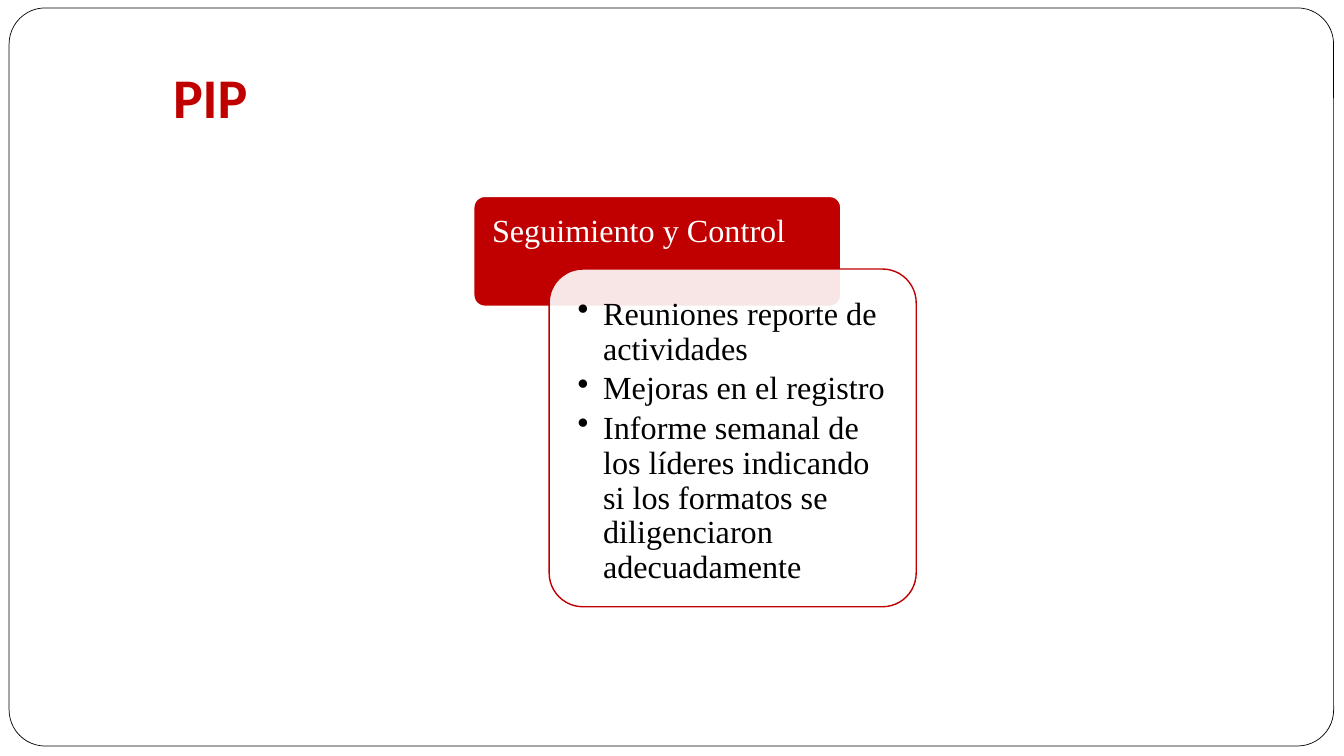
from dataclasses import dataclass

from lxml.etree import SubElement
from pptx import Presentation
from pptx.dml.color import RGBColor
from pptx.enum.shapes import MSO_SHAPE
from pptx.enum.text import MSO_ANCHOR, MSO_AUTO_SIZE, PP_ALIGN
from pptx.oxml.ns import qn
from pptx.shapes.autoshape import Shape
from pptx.slide import Slide
from pptx.text.text import TextFrame
from pptx.util import Cm, Pt

COLORS = {"red": "C00000", "white": "FFFFFF", "black": "000000"}
BODY_FONT = "Times New Roman"
TEXT_SIZE = 23
INSET = 0.46


@dataclass(frozen=True)
class Box:
    left: float
    top: float
    width: float
    height: float

    def lengths(self) -> tuple[Cm, Cm, Cm, Cm]:
        return Cm(self.left), Cm(self.top), Cm(self.width), Cm(self.height)


@dataclass(frozen=True)
class Panel:
    box: Box
    fill: str
    line: str
    line_width: float = 1
    corner: float = 0.1
    opacity: int = 100


@dataclass(frozen=True)
class Copy:
    box: Box
    lines: tuple[str, ...]
    color: str
    space_after: float
    bottom_inset: float = INSET
    bulleted: bool = False


FRAME = Panel(Box(0.23, 0.2, 33.38, 18.6), "white", "black", 0.5, 0.049)
TITLE_BOX = Box(4.11, 0.28, 27.84, 4.88)
PANELS = (
    Panel(Box(11.94, 4.95, 9.25, 2.77), "red", "white"),
    Panel(Box(13.84, 6.78, 9.25, 8.51), "white", "red", opacity=90),
)
COPIES = (
    Copy(Box(11.94, 4.95, 9.25, 1.83), ("Seguimiento y Control",), "white", 8, 0.25),
    Copy(
        Box(14.1, 7.04, 8.76, 8),
        (
            "Reuniones reporte de actividades",
            "Mejoras en el registro",
            "Informe semanal de los líderes indicando si los formatos se "
            "diligenciaron adecuadamente",
        ),
        "black",
        3.5,
        bulleted=True,
    ),
)


def rgb(name: str) -> RGBColor:
    return RGBColor.from_string(COLORS[name])


def set_insets(
    frame: TextFrame, left: float, top: float, right: float, bottom: float
) -> None:
    frame.margin_left, frame.margin_top = Cm(left), Cm(top)
    frame.margin_right, frame.margin_bottom = Cm(right), Cm(bottom)
    frame.word_wrap = True
    frame.auto_size = MSO_AUTO_SIZE.NONE


def style_runs(frame: TextFrame, font: str, size: float, color: str, bold: bool) -> None:
    for paragraph in frame.paragraphs:
        paragraph.alignment = PP_ALIGN.LEFT
        for run in paragraph.runs:
            run.font.name = font
            run.font.size = Pt(size)
            run.font.bold = bold
            run.font.color.rgb = rgb(color)


def draw_panel(slide: Slide, panel: Panel) -> Shape:
    outline = slide.shapes.add_shape(MSO_SHAPE.ROUNDED_RECTANGLE, *panel.box.lengths())
    outline.adjustments[0] = panel.corner
    outline.shadow.inherit = False
    outline.fill.solid()
    outline.fill.fore_color.rgb = rgb(panel.fill)
    outline.line.color.rgb = rgb(panel.line)
    outline.line.width = Pt(panel.line_width)
    if panel.opacity < 100:
        fill_color = outline.element.spPr.find(qn("a:solidFill")).find(qn("a:srgbClr"))
        SubElement(fill_color, qn("a:alpha"), val=str(panel.opacity * 1000))
    return outline


def draw_copy(slide: Slide, copy: Copy) -> None:
    frame = slide.shapes.add_textbox(*copy.box.lengths()).text_frame
    set_insets(frame, INSET, INSET, INSET, copy.bottom_inset)
    frame.text = "\n".join(copy.lines)
    style_runs(frame, BODY_FONT, TEXT_SIZE, copy.color, False)
    for paragraph in frame.paragraphs:
        paragraph.line_spacing = 0.9
        paragraph.space_after = Pt(copy.space_after)
        if copy.bulleted:
            paragraph.level = 1
            properties = paragraph._p.get_or_add_pPr()
            properties.set("marL", str(Cm(0.64)))
            properties.set("indent", str(-Cm(0.64)))
            SubElement(properties, qn("a:buChar"), char="•")


def draw_title(slide: Slide) -> None:
    title = slide.shapes.title
    title.left, title.top, title.width, title.height = TITLE_BOX.lengths()
    frame = title.text_frame
    frame.text = "PIP"
    set_insets(frame, 0.25, 0.13, 0.25, 1.88)
    frame.vertical_anchor = MSO_ANCHOR.BOTTOM
    style_runs(frame, "Calibri", 40, "red", True)


def main() -> None:
    presentation = Presentation()
    presentation.slide_width, presentation.slide_height = Cm(33.87), Cm(19.05)
    slide = presentation.slides.add_slide(presentation.slide_layouts[5])
    border = draw_panel(slide, FRAME)
    slide.shapes.title.element.addprevious(border.element)
    draw_title(slide)
    for panel, copy in zip(PANELS, COPIES):
        draw_panel(slide, panel)
        draw_copy(slide, copy)
    presentation.save("out.pptx")


if __name__ == "__main__":
    main()
